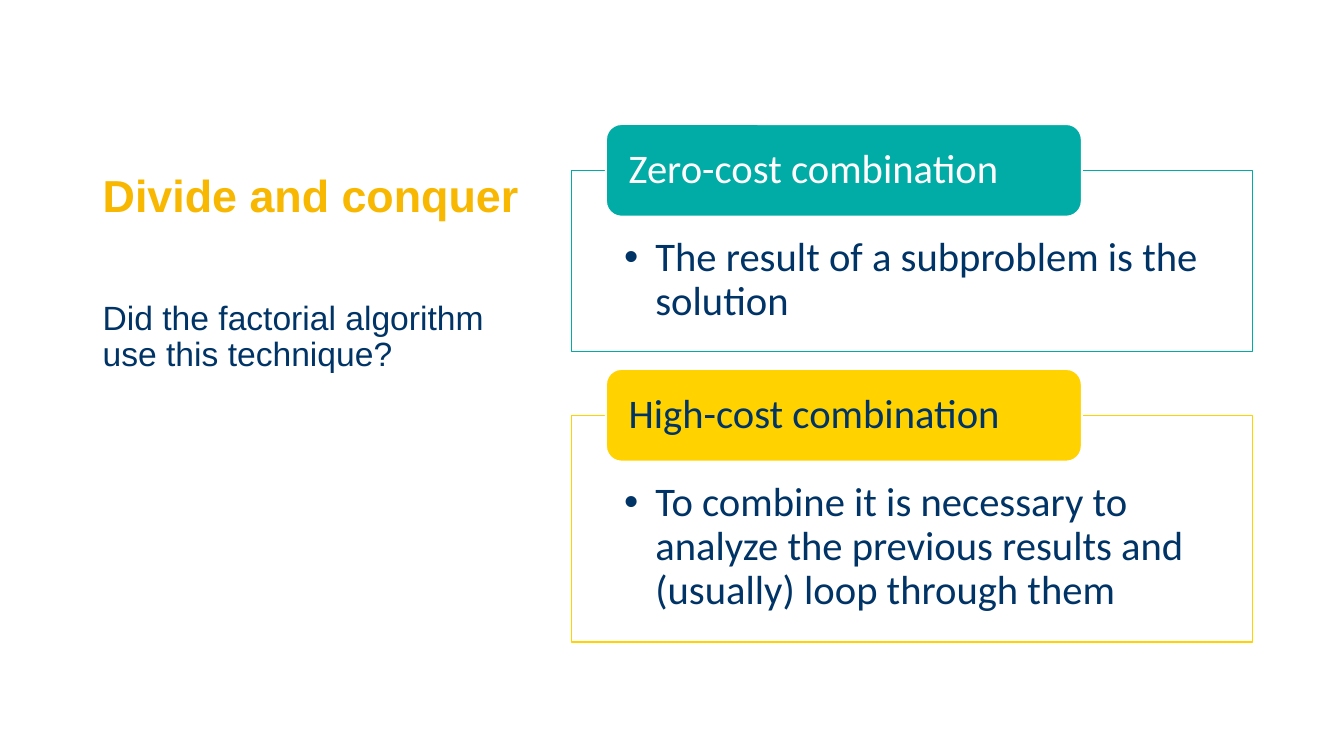
from lxml import etree
from pptx import Presentation
from pptx.dml.color import RGBColor
from pptx.enum.shapes import MSO_SHAPE
from pptx.enum.text import MSO_ANCHOR, PP_ALIGN
from pptx.oxml.ns import qn
from pptx.util import Inches, Pt

RECTANGLE, ROUNDED = MSO_SHAPE.RECTANGLE, MSO_SHAPE.ROUNDED_RECTANGLE
TOP, MIDDLE, BOTTOM = MSO_ANCHOR.TOP, MSO_ANCHOR.MIDDLE, MSO_ANCHOR.BOTTOM
LEFT = PP_ALIGN.LEFT

COLORS = {"white": "FFFFFF", "teal": "00ACA5", "yellow": "FFD200",
          "gold": "F8B700", "title_navy": "003466", "navy": "003366"}
TITLE = "Divide and conquer"
QUESTION = "Did the factorial algorithm use this technique?"
CARDS = [
    {"heading": "Zero-cost combination", "accent": "teal", "heading_color": "white",
     "detail": "The result of a subproblem is the solution", "top": 1.69, "height": 1.8},
    {"heading": "High-cost combination", "accent": "yellow", "heading_color": "navy",
     "detail": "To combine it is necessary to analyze the previous results and "
               "(usually) loop through them", "top": 4.12, "height": 2.25},
]
CARD_LEFT, CARD_WIDTH = 5.67, 6.75
TAB_INDENT, TAB_RISE, TAB_WIDTH, TAB_HEIGHT = 0.34, 0.46, 4.72, 0.92
CARD_INSETS = (0.52, 0.66, 0.52, 0.23)
TAB_INSETS = (0.18, 0, 0.18, 0)
TEXT_INSETS = (0.1, 0.05, 0.1, 0.05)


def color(name):
    return RGBColor.from_string(COLORS[name])


def write(shape, text, font_name, size, text_color, insets, anchor=TOP, bold=False, bullet=False):
    frame = shape.text_frame
    frame.word_wrap = True
    frame.vertical_anchor = anchor
    frame.margin_left, frame.margin_top, frame.margin_right, frame.margin_bottom = map(Inches, insets)
    paragraph = frame.paragraphs[0]
    if bullet:
        properties = paragraph._p.get_or_add_pPr()
        properties.set("marL", str(Inches(0.31)))
        properties.set("indent", str(-Inches(0.31)))
        etree.SubElement(properties, qn("a:buFont")).set("typeface", "Arial")
        etree.SubElement(properties, qn("a:buChar")).set("char", "•")
    paragraph.alignment = LEFT
    paragraph.line_spacing = 0.9
    run = paragraph.add_run()
    run.text = text
    run.font.name = font_name
    run.font.size = Pt(size)
    run.font.bold = bold
    run.font.color.rgb = color(text_color)


def add_panel(slide, kind, box, fill, line, line_width):
    shape = slide.shapes.add_shape(kind, *map(Inches, box))
    shape.shadow.inherit = False
    shape.fill.solid()
    shape.fill.fore_color.rgb = color(fill)
    shape.line.color.rgb = color(line)
    shape.line.width = Pt(line_width)
    return shape


def add_card(slide, card):
    top, accent = card["top"], card["accent"]
    body = add_panel(slide, RECTANGLE, (CARD_LEFT, top, CARD_WIDTH, card["height"]),
                     "white", accent, 1)
    fill_color = body._element.spPr.find(qn("a:solidFill"))[0]
    etree.SubElement(fill_color, qn("a:alpha")).set("val", "90000")
    write(body, card["detail"], "Calibri", 29, "navy", CARD_INSETS, bullet=True)
    tab = add_panel(slide, ROUNDED, (CARD_LEFT + TAB_INDENT, top - TAB_RISE, TAB_WIDTH, TAB_HEIGHT),
                    accent, "white", 1.5)
    write(tab, card["heading"], "Calibri", 29, card["heading_color"], TAB_INSETS, MIDDLE)


def main():
    """Build the divide and conquer slide."""
    presentation = Presentation()
    presentation.slide_width, presentation.slide_height = Inches(13.33), Inches(7.5)
    slide = presentation.slides.add_slide(presentation.slide_layouts[6])
    title = slide.shapes.add_textbox(*map(Inches, (0.92, 0.5, 4.45, 1.75)))
    write(title, TITLE, "Arial", 32, "gold", TEXT_INSETS, BOTTOM, bold=True)
    question = slide.shapes.add_textbox(*map(Inches, (0.92, 2.94, 4.3, 3.57)))
    write(question, QUESTION, "Arial", 24, "title_navy", TEXT_INSETS)
    for card in CARDS:
        add_card(slide, card)
    presentation.save("out.pptx")


if __name__ == "__main__":
    main()
